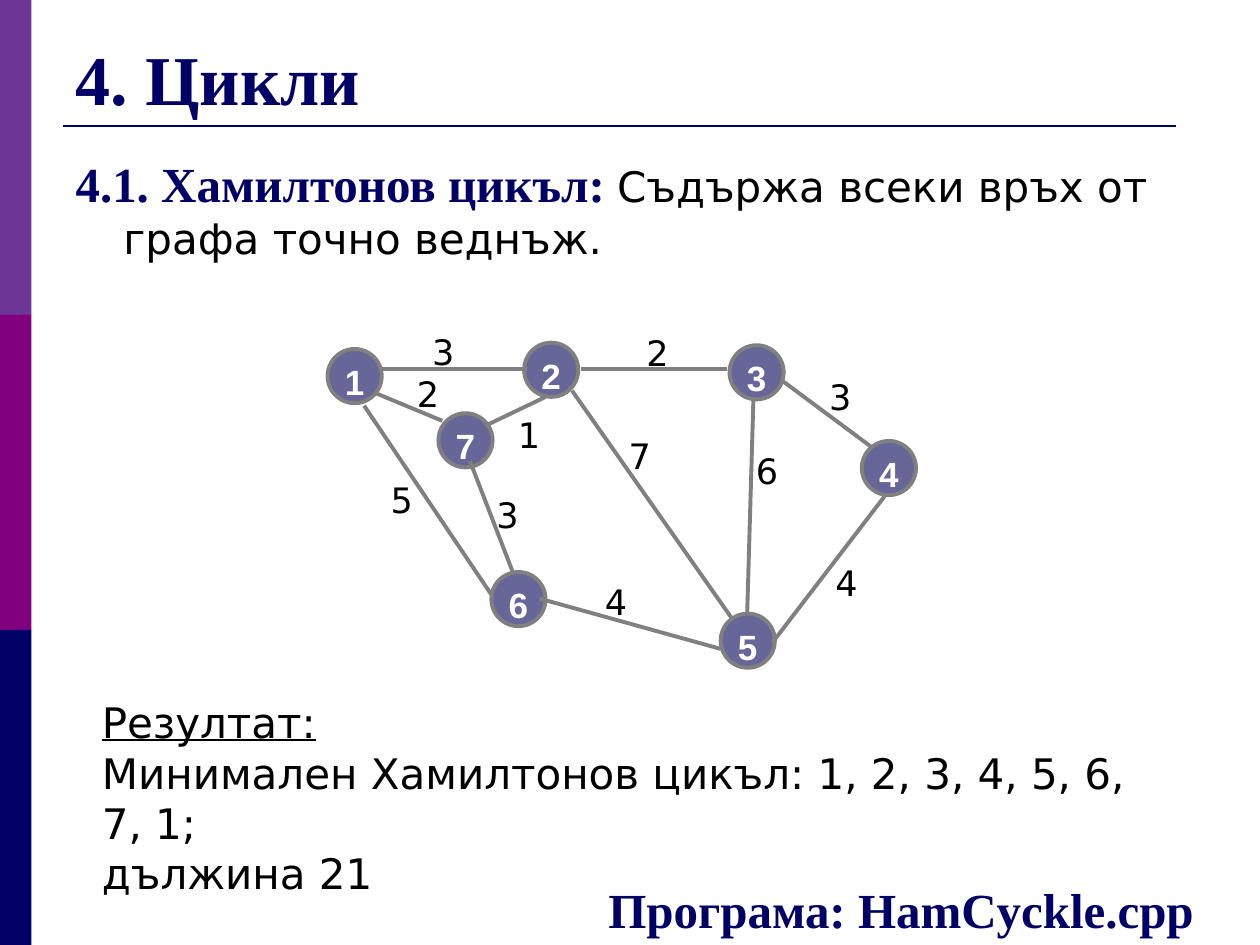
"""Build the slide on Hamiltonian cycles with a weighted graph."""
from dataclasses import dataclass

from lxml import etree
from pptx import Presentation
from pptx import util as u
from pptx.dml.color import RGBColor
from pptx.enum import shapes, text
from pptx.oxml.ns import qn


@dataclass(frozen=True)
class Style:
    font: str
    size: int
    color: str
    bold: bool = False
    underline: bool = False


@dataclass(frozen=True)
class Theme:
    navy: str = "000066"
    violet: str = "6D3696"
    purple: str = "800080"
    node: str = "666699"
    edge: str = "808080"
    edge_width: float = 2.25
    rule_width: float = 1.5
    title: Style = Style("Times New Roman", 40, "000066", True)
    heading: Style = Style("Times New Roman", 28, "000066", True)
    body: Style = Style("DejaVu Sans", 24, "000000")
    caption: Style = Style("DejaVu Sans", 24, "000000", underline=True)
    node_label: Style = Style("Arial", 20, "FFFFFF", True)
    weight: Style = Style("DejaVu Sans", 20, "000000")


THEME = Theme()
TITLE = [[("4. Цикли", THEME.title)]]
DEFINITION = [[
    ("4.1. Хамилтонов цикъл: ", THEME.heading),
    ("Съдържа всеки връх от графа точно веднъж.", THEME.body),
]]
RESULT = [
    [("Резултат:", THEME.caption)],
    [("Минимален Хамилтонов цикъл: 1, 2, 3, 4, 5, 6, 7, 1;", THEME.body)],
    [("дължина 21", THEME.body)],
]
PROGRAM = [[("Програма: HamCyckle.cpp", THEME.heading)]]
SIDE_BANDS = [THEME.violet, THEME.purple, THEME.navy]
NODE_SIZE = 0.43
NODES = {
    "1": (2.6, 2.77), "2": (4.16, 2.72), "3": (5.79, 2.74), "4": (6.84, 3.5),
    "5": (5.72, 4.87), "6": (3.9, 4.54), "7": (3.48, 3.28),
}
EDGES = [
    ((3.01, 2.93), (4.18, 2.93), "3", (3.43, 2.62)),
    ((4.61, 2.93), (5.77, 2.93), "2", (5.13, 2.63)),
    ((4.28, 4.75), (5.72, 5.15), "4", (4.8, 4.61)),
    ((7.02, 3.94), (6.13, 5.1), "4", (6.63, 4.46)),
    ((6.22, 3.03), (6.92, 3.55), "3", (6.58, 2.98)),
    ((5.98, 3.15), (5.93, 4.87), "6", (6, 3.57)),
    ((3.73, 3.66), (4.07, 4.54), "3", (3.94, 3.92)),
    ((2.98, 3.12), (3.51, 3.34), "2", (3.31, 2.96)),
    ((4.33, 3.15), (3.85, 3.38), "1", (4.11, 3.28)),
    ((2.89, 3.22), (3.9, 4.72), "5", (3.1, 3.8)),
    ((4.54, 3.1), (5.81, 4.91), "7", (4.99, 3.45)),
]


def inches(*values):
    return [u.Inches(value) for value in values]


def write(shape, paragraphs, align=text.PP_ALIGN.LEFT, anchor=text.MSO_ANCHOR.TOP,
          margins=(0.1, 0.05, 0.1, 0.05)):
    frame = shape.text_frame
    frame.word_wrap = True
    frame.auto_size = text.MSO_AUTO_SIZE.NONE
    frame.vertical_anchor = anchor
    frame.margin_left, frame.margin_top, frame.margin_right, frame.margin_bottom = inches(*margins)
    for index, spans in enumerate(paragraphs):
        para = frame.add_paragraph() if index else frame.paragraphs[0]
        para.alignment = align
        for content, style in spans:
            span = para.add_run()
            span.text = content
            span.font.name = style.font
            span.font.size = u.Pt(style.size)
            span.font.bold = style.bold
            span.font.underline = style.underline
            span.font.color.rgb = RGBColor.from_string(style.color)
    return frame


def place(shape, *bounds):
    shape.left, shape.top, shape.width, shape.height = inches(*bounds)
    return shape


def add_filled(page, kind, bounds, color):
    shape = page.shapes.add_shape(kind, *inches(*bounds))
    shape.shadow.inherit = False
    shape.fill.solid()
    shape.fill.fore_color.rgb = RGBColor.from_string(color)
    shape.line.fill.background()
    return shape


def set_line(shape, color, width):
    shape.line.color.rgb = RGBColor.from_string(color)
    shape.line.width = u.Pt(width)


def add_line(page, start, end, color, width):
    line = page.shapes.add_connector(shapes.MSO_CONNECTOR.STRAIGHT, *inches(*start, *end))
    set_line(line, color, width)
    etree.SubElement(line._element.spPr, qn("a:effectLst"))


def add_text(page, bounds, paragraphs, **options):
    write(page.shapes.add_textbox(*inches(*bounds)), paragraphs, **options)


def add_frame(page):
    band_height = 7.5 / len(SIDE_BANDS)
    for index, color in enumerate(SIDE_BANDS):
        bounds = (0, index * band_height, 0.25, band_height)
        add_filled(page, shapes.MSO_SHAPE.RECTANGLE, bounds, color)
    add_line(page, (0.5, 1), (9.33, 1), THEME.navy, THEME.rule_width)


def add_definition(page):
    body = place(page.placeholders[1], 0.5, 1.17, 9, 6)
    para = write(body, DEFINITION).paragraphs[0]
    para.space_before = u.Pt(6)
    properties = para._p.get_or_add_pPr()
    properties.set("marL", str(u.Inches(0.38)))
    properties.set("indent", str(u.Inches(-0.38)))
    etree.SubElement(properties, qn("a:buNone"))


def add_graph(page):
    for name, corner in NODES.items():
        bounds = (*corner, NODE_SIZE, NODE_SIZE)
        node = add_filled(page, shapes.MSO_SHAPE.OVAL, bounds, THEME.node)
        set_line(node, THEME.edge, THEME.edge_width)
        write(node, [[(name, THEME.node_label)]], align=text.PP_ALIGN.CENTER,
              margins=(0, 0.03, 0, 0))
    for start, end, _, _ in EDGES:
        add_line(page, start, end, THEME.edge, THEME.edge_width)
    for _, _, weight, corner in EDGES:
        add_text(page, (*corner, 0.14, 0.28), [[(weight, THEME.weight)]], margins=(0, 0, 0, 0))


def main():
    deck = Presentation()
    deck.slide_width, deck.slide_height = inches(10, 7.5)
    page = deck.slides.add_slide(deck.slide_layouts[1])
    add_frame(page)
    title = place(page.shapes.title, 0.5, 0.3, 9, 0.7)
    write(title, TITLE, anchor=text.MSO_ANCHOR.BOTTOM)
    add_definition(page)
    add_graph(page)
    add_text(page, (0.71, 5.48, 8.48, 1.3), RESULT)
    add_text(page, (4.73, 6.93, 5.62, 0.57), PROGRAM)
    deck.save("out.pptx")


if __name__ == "__main__":
    main()
